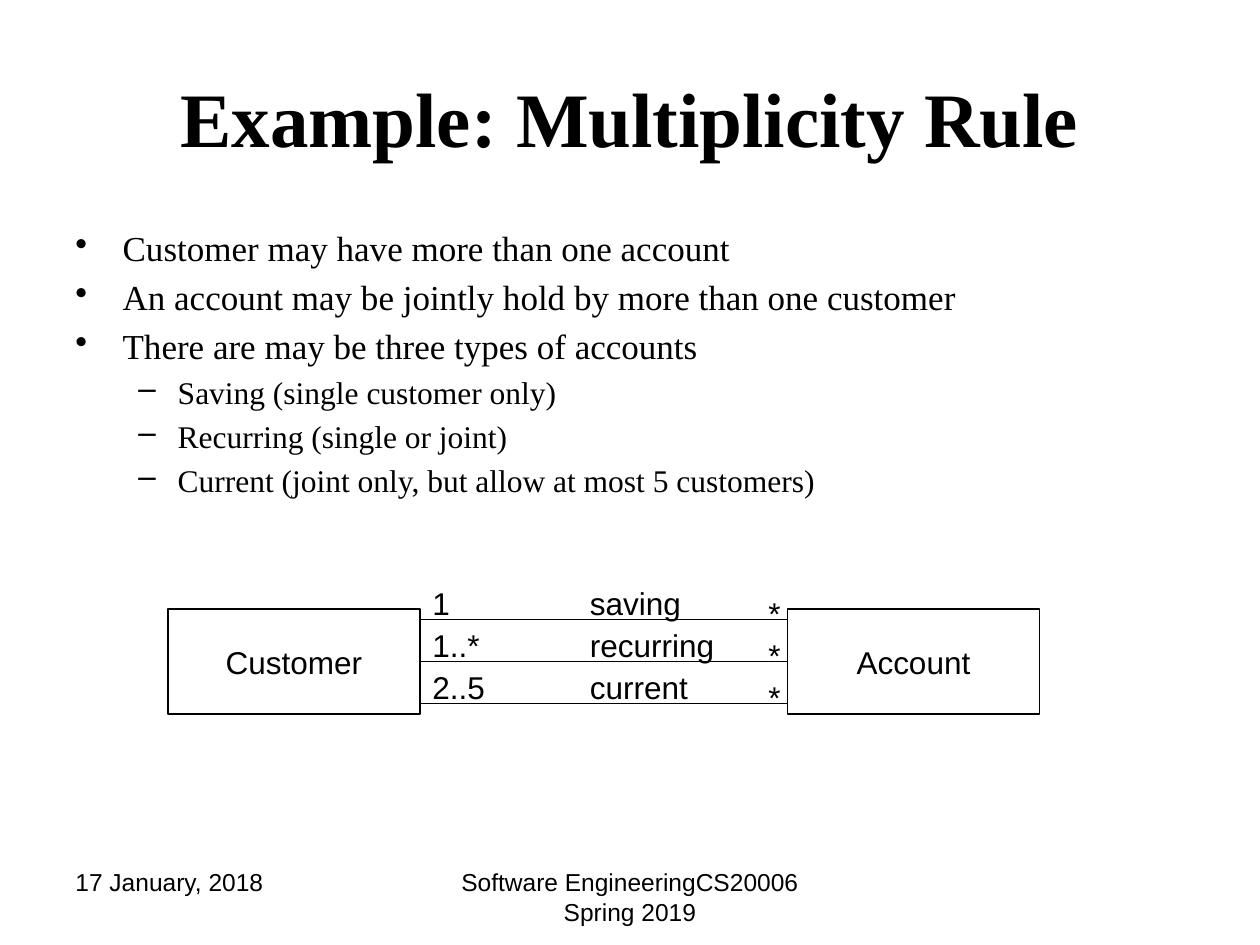
from lxml.etree import SubElement
from pptx import Presentation
from pptx.dml.color import RGBColor
from pptx.enum.shapes import MSO_CONNECTOR as Connector, MSO_SHAPE as Shape
from pptx.enum.text import MSO_ANCHOR as Anchor, PP_ALIGN as Align
from pptx.oxml.ns import qn
from pptx.util import Pt


class Theme:
    ink = RGBColor(0, 0, 0)
    serif, sans = "Times New Roman", "Arial"
    title, label, footer = 44, 18, 14
    line = 0.75


# Content
TITLE = "Example: Multiplicity Rule"
BULLETS = [
    (0, "Customer may have more than one account"),
    (0, "An account may be jointly hold by more than one customer"),
    (0, "There are may be three types of accounts"),
    (1, "Saving (single customer only)"),
    (1, "Recurring (single or joint)"),
    (1, "Current (joint only, but allow at most 5 customers)"),
]
# Bullet mark, left margin, hanging indent, size, space before
LEVELS = [("•", 27, 27, 20, 4), ("–", 58.5, 22.5, 18, 3.6)]
CLASSES = ["Customer", "Account"]
# Customer end, association name, account end
ASSOCIATIONS = [("1", "saving", "*"), ("1..*", "recurring", "*"), ("2..5", "current", "*")]
FOOTERS = [
    ("17 January, 2018", 36, 168, Align.LEFT),
    ("Software EngineeringCS20006 Spring 2019", 246, 228, Align.CENTER),
]

# Diagram geometry
CLASS_LEFT, CLASS_TOP, CLASS_WIDTH, CLASS_HEIGHT = 96, 348, 144, 60
CLASS_STEP = 354
ROW_STEP = 24
FIRST_LINE = CLASS_TOP + CLASS_HEIGHT / 2 - ROW_STEP
# Left, width and rise above the line for each label column
LABEL_COLUMNS = [(240, 46, 24), (330, 86, 24), (432, 22, 18)]


def style(para, size, font=Theme.sans, align=Align.LEFT, bold=False):
    para.alignment = align
    para.font.size = Pt(size)
    para.font.name = font
    para.font.bold = bold
    para.font.color.rgb = Theme.ink


def add_text(page, text, left, top, width, height, wrap=True, anchor=Anchor.TOP, **look):
    box = page.shapes.add_textbox(Pt(left), Pt(top), Pt(width), Pt(height))
    frame = box.text_frame
    frame.word_wrap = wrap
    frame.vertical_anchor = anchor
    frame.text = text
    style(frame.paragraphs[0], **look)
    return frame


def add_bullets(page):
    box = page.shapes.add_textbox(Pt(36), Pt(126), Pt(648), Pt(356))
    frame = box.text_frame
    frame.word_wrap = True
    for index, (level, text) in enumerate(BULLETS):
        mark, margin, hanging, size, space = LEVELS[level]
        para = frame.add_paragraph() if index else frame.paragraphs[0]
        para.text = text
        para.level = level
        if index:
            para.space_before = Pt(space)
        properties = para._p.get_or_add_pPr()
        properties.set("marL", str(Pt(margin)))
        properties.set("indent", str(-Pt(hanging)))
        SubElement(properties, qn("a:buChar"), char=mark)
        style(para, size, Theme.serif)


def add_class(page, name, left):
    box = page.shapes.add_shape(
        Shape.RECTANGLE, Pt(left), Pt(CLASS_TOP), Pt(CLASS_WIDTH), Pt(CLASS_HEIGHT))
    box.shadow.inherit = False
    box.fill.background()
    box.line.color.rgb = Theme.ink
    box.line.width = Pt(Theme.line)
    box.text_frame.vertical_anchor = Anchor.MIDDLE
    box.text_frame.text = name
    style(box.text_frame.paragraphs[0], Theme.label, align=Align.CENTER)
    return box


def add_association(page, start, end, y):
    line = page.shapes.add_connector(
        Connector.STRAIGHT, start.left + start.width, Pt(y), end.left, Pt(y))
    line.line.color.rgb = Theme.ink
    line.line.width = Pt(Theme.line)
    SubElement(line._element.spPr, qn("a:effectLst"))
    # Only the middle line meets the middle of both sides
    if y == CLASS_TOP + CLASS_HEIGHT / 2:
        line.begin_connect(start, 3)
        line.end_connect(end, 1)


def main():
    deck = Presentation()
    deck.slide_width, deck.slide_height = Pt(720), Pt(540)
    page = deck.slides.add_slide(deck.slide_layouts[6])

    # Footer, title and bullets
    for text, left, width, align in FOOTERS:
        add_text(page, text, left, 492, width, 37.5, size=Theme.footer, align=align)
    add_text(page, TITLE, 36, 21.5, 648, 90, anchor=Anchor.MIDDLE, size=Theme.title,
             font=Theme.serif, align=Align.CENTER, bold=True)
    add_bullets(page)

    # Class diagram
    customer, account = [add_class(page, name, CLASS_LEFT + index * CLASS_STEP)
                         for index, name in enumerate(CLASSES)]
    for row, labels in enumerate(ASSOCIATIONS):
        y = FIRST_LINE + row * ROW_STEP
        add_association(page, customer, account, y)
        for text, (left, width, rise) in zip(labels, LABEL_COLUMNS):
            add_text(page, text, left, y - rise, width, 29, wrap=False, size=Theme.label)

    deck.save("out.pptx")


if __name__ == "__main__":
    main()
